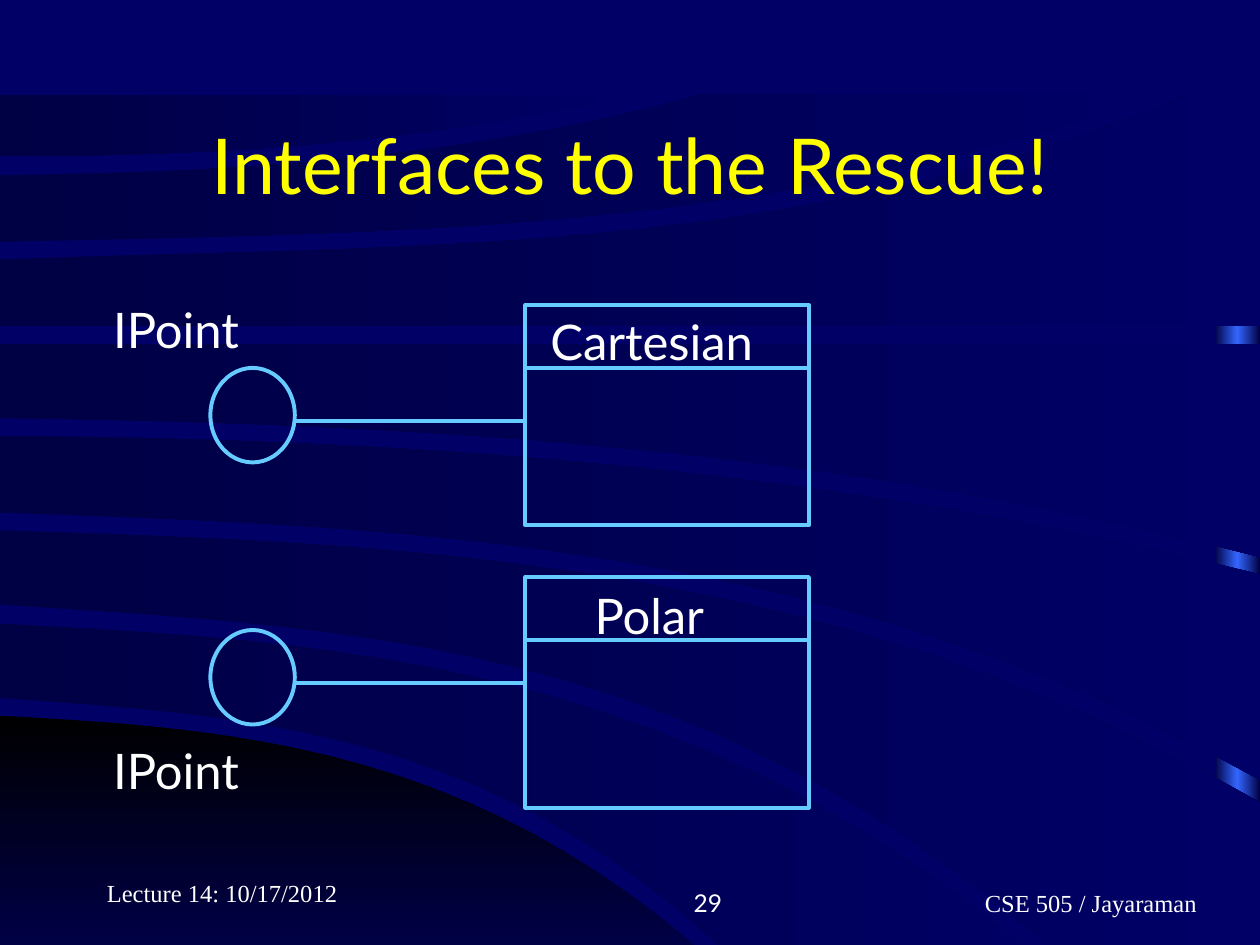
from copy import deepcopy

from lxml.etree import SubElement
from pptx import Presentation
from pptx.dml.color import RGBColor
from pptx.enum.shapes import MSO_CONNECTOR as Connector, MSO_SHAPE as Shape
from pptx.enum.text import MSO_ANCHOR as Anchor, PP_ALIGN as Align
from pptx.oxml.ns import qn
from pptx.util import Inches, Pt

COLORS = {
    "background": "000066",
    "dark": "000044",
    "glow": "3366FF",
    "black": "000000",
    "line": "66CCFF",
    "title": "FFFF00",
    "text": "FFFFFF",
}
LINE_WIDTH = Pt(2.25)
CURVE_STEPS = 24
HILL = (6.29, [5.68, 5.89, 6.6, 8.27]), (6.29, [8.27])
BANDS = [
    ((8.94, [4.95, 5.22, 6.12, 8.25]), (6.43, [5.54, 5.76, 6.48, 8.25])),
    ((10, [4.21, 4.39, 4.98, 6.37]), (9.1, [4.8, 5.08, 6, 8.25])),
    ((10, [3.46, 3.57, 3.91, 4.56]), (10, [4.07, 4.25, 4.83, 6.19])),
    ((10, [2.73]), (10, [3.32, 3.43, 3.76, 4.42])),
    ((9.44, [2.06, 1.96, 1.65, 0.75]), (10, [2.59])),
    ((5.57, [1.39, 1.33, 1.14, 0.75]), (9.18, [1.92, 1.83, 1.53, 0.75])),
    ((5.02, [0.75]), (5.02, [1.24, 1.2, 1.05, 0.75])),
]


def color(name):
    return RGBColor.from_string(COLORS[name])


def interpolate(heights, position):
    total = 0
    for i, height in enumerate(heights):
        for j in range(len(heights)):
            if j != i:
                height *= (position - j) / (i - j)
        total += height
    return total


def curve_points(span, heights):
    last = len(heights) - 1
    return [(span * step / CURVE_STEPS, interpolate(heights, last * step / CURVE_STEPS))
            for step in range(CURVE_STEPS + 1)]


def fill_gradient(shape, names, angle=0):
    shape.shadow.inherit = False
    shape.line.fill.background()
    shape.fill.gradient()
    shape.fill.gradient_angle = angle
    stop_list = shape._element.spPr.find(qn("a:gradFill")).find(qn("a:gsLst"))
    for _ in names[2:]:
        stop_list.append(deepcopy(stop_list[0]))
    for index, (stop, name) in enumerate(zip(shape.fill.gradient_stops, names)):
        stop.position = index / (len(names) - 1)
        stop.color.rgb = color(name)


def add_band(slide, left, top, upper, lower):
    shorter, longer = sorted((upper, lower), key=lambda edge: edge[0])
    corner = (longer[0], shorter[1][-1])
    outline = curve_points(*shorter) + [corner] + curve_points(*longer)[::-1]
    points = [(Inches(left + x), Inches(top + y)) for x, y in outline]
    builder = slide.shapes.build_freeform(*points[0])
    builder.add_line_segments(points[1:], close=True)
    return builder.convert_to_shape()


def add_outline(slide, kind, *box):
    shape = slide.shapes.add_shape(kind, *map(Inches, box))
    shape.shadow.inherit = False
    shape.fill.background()
    shape.line.color.rgb = color("line")
    shape.line.width = LINE_WIDTH


def add_rule(slide, left, right, y):
    connector = slide.shapes.add_connector(
        Connector.STRAIGHT, Inches(left), Inches(y), Inches(right), Inches(y))
    connector.line.color.rgb = color("line")
    connector.line.width = LINE_WIDTH
    SubElement(connector._element.spPr, qn("a:effectLst"))


def add_label(slide, box, text, size=28, font="Lato", ink="text", align=Align.LEFT, **frame_format):
    frame = slide.shapes.add_textbox(*map(Inches, box)).text_frame
    for name, value in {"word_wrap": True, **frame_format}.items():
        setattr(frame, name, value)
    paragraph = frame.paragraphs[0]
    paragraph.alignment = align
    run = paragraph.add_run()
    run.text = text
    for name, value in {"size": Pt(size), "name": font}.items():
        setattr(run.font, name, value)
    run.font.color.rgb = color(ink)


def draw_backdrop(slide, left, top, width, height):
    strip = slide.shapes.add_shape(
        Shape.RECTANGLE, Inches(left + width - 0.36), Inches(top + 0.77),
        Inches(0.36), Inches(height - 0.77))
    fill_gradient(strip, ["dark", "glow", "dark"])
    fill_gradient(add_band(slide, left, top, *HILL), ["black", "background"], 270)
    for upper, lower in BANDS:
        fill_gradient(add_band(slide, left, top, upper, lower), ["dark", "background"])


def draw_class(slide, left, top, width, height, name, label_left, label_top):
    add_outline(slide, Shape.RECTANGLE, left, top, width, height)
    add_rule(slide, left, left + width, top + 0.5)
    add_label(slide, (left + label_left, top + label_top, 1.92, 0.57), name, word_wrap=False)


def draw_interface(slide, left, top, width, label_top):
    add_rule(slide, left + 0.67, left + width, top + 0.42)
    add_outline(slide, Shape.OVAL, left, top, 0.67, 0.75)
    add_label(slide, (left - 0.87, top + label_top, 1.28, 0.57), "IPoint", word_wrap=False)


def draw_footer(slide, left, top, width, height):
    small = {"size": 14, "vertical_anchor": Anchor.BOTTOM}
    serif = {**small, "font": "Times New Roman"}
    add_label(slide, (left, top, 2.08, height), "Lecture 14: 10/17/2012", **serif)
    add_label(slide, (left + 3, top + 0.08, 2.08, height), "29", align=Align.RIGHT, **small)
    add_label(slide, (left + width - 3.17, top + 0.08, 3.17, height), "CSE 505 / Jayaraman",
              align=Align.RIGHT, margin_right=Inches(0.25), **serif)


def main():
    presentation = Presentation()
    presentation.slide_width, presentation.slide_height = Inches(10), Inches(7.5)
    slide = presentation.slides.add_slide(presentation.slide_layouts[6])
    slide.background.fill.solid()
    slide.background.fill.fore_color.rgb = color("background")
    draw_backdrop(slide, 0, 0, 10, 7.5)
    add_label(slide, (0.75, 0.67, 8.5, 1.25), "Interfaces to the Rescue!", size=44, ink="title",
              align=Align.CENTER, vertical_anchor=Anchor.MIDDLE)
    draw_class(slide, 4.17, 2.42, 2.25, 1.75, "Cartesian", 0.1, 0)
    draw_class(slide, 4.17, 4.58, 2.25, 1.83, "Polar", 0.45, 0.02)
    draw_interface(slide, 1.67, 2.92, 2.5, -0.59)
    draw_interface(slide, 1.67, 5, 2.5, 0.83)
    draw_footer(slide, 0.75, 6.75, 9, 0.5)
    presentation.save("out.pptx")


if __name__ == "__main__":
    main()
